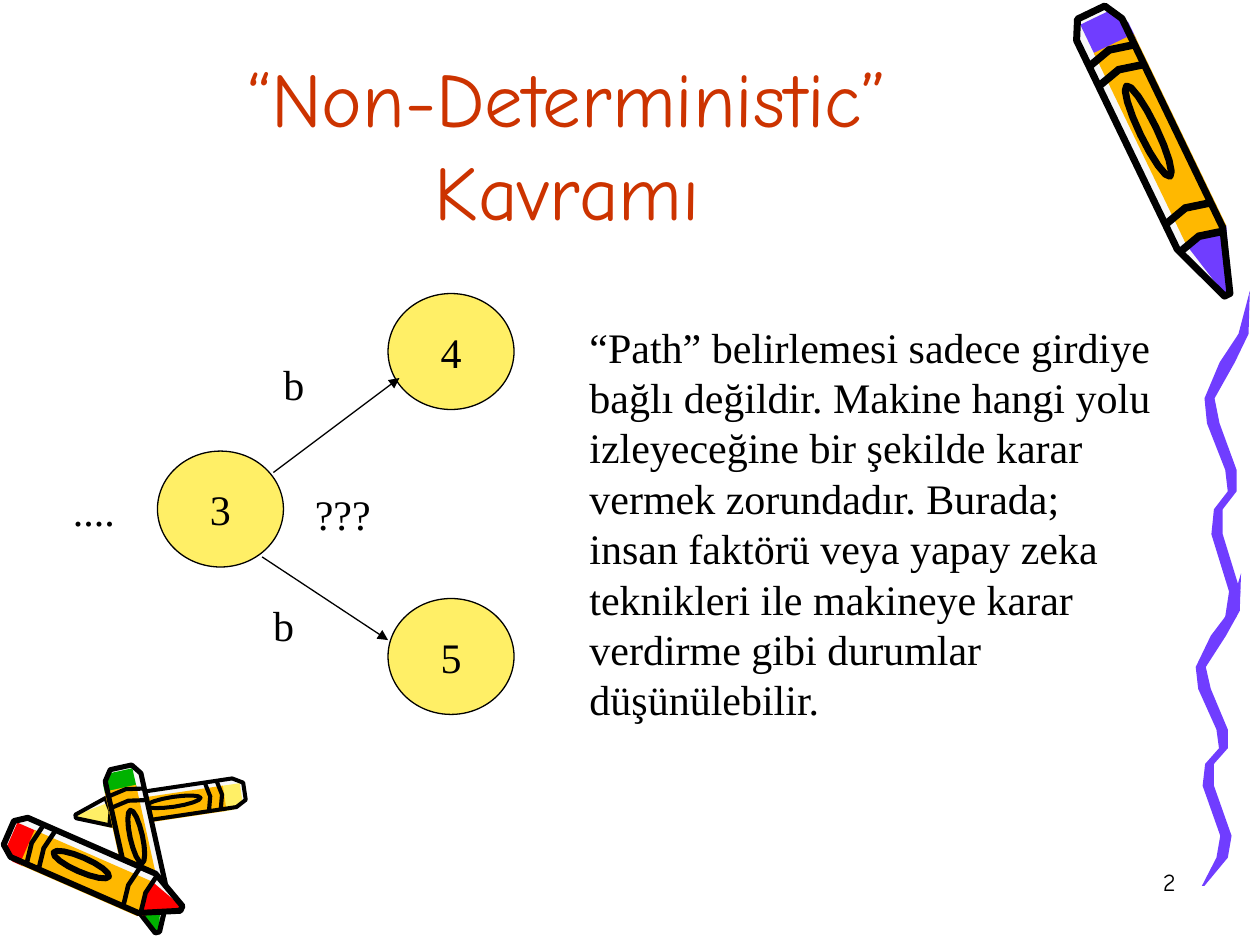
"""Build the "Non-Deterministic" concept slide with its state diagram and crayons."""
from math import cos, hypot, pi, sin

from lxml import etree
from pptx import Presentation
from pptx.dml.color import RGBColor
from pptx.enum.shapes import MSO_CONNECTOR, MSO_SHAPE
from pptx.enum.text import MSO_ANCHOR, MSO_AUTO_SIZE, PP_ALIGN
from pptx.oxml.ns import qn
from pptx.util import Inches, Pt

LINE, OVAL = MSO_CONNECTOR.STRAIGHT, MSO_SHAPE.OVAL
LEFT, CENTER, RIGHT = PP_ALIGN.LEFT, PP_ALIGN.CENTER, PP_ALIGN.RIGHT
TOP, MIDDLE, BOTTOM = MSO_ANCHOR.TOP, MSO_ANCHOR.MIDDLE, MSO_ANCHOR.BOTTOM
FIT, FIXED = MSO_AUTO_SIZE.SHAPE_TO_FIT_TEXT, MSO_AUTO_SIZE.NONE

THEME = {
    "black": "000000", "title": "CC3300", "purple": "703DFF", "orange": "FFB800",
    "yellow": "FFEF66", "red": "FF0000", "green": "00B200", "paper": "F8F8F8",
    "display": "Comic Neue", "body": "Times New Roman",
    "title_size": 44, "body_size": 24, "number_size": 14,
    "thin": 0.75, "ink": 4,
}

TITLE = ["“Non-Deterministic” Kavramı"]
BODY = [
    "“Path” belirlemesi sadece girdiye",
    "bağlı değildir. Makine hangi yolu",
    "izleyeceğine bir şekilde karar",
    "vermek zorundadır. Burada;",
    "insan faktörü veya yapay zeka",
    "teknikleri ile makineye karar",
    "verdirme gibi durumlar",
    "düşünülebilir.",
]
STATE_SIZE = (1, 0.92)
STATES = [("3", 1.25, 3.58), ("4", 3.08, 2.33), ("5", 3.08, 4.75)]
ARROWS = [((2.17, 3.75), (3.17, 3)), ((2.08, 4.42), (3.08, 5.08))]
LABELS = [("b", 2.15, 2.8, 0.36), ("b", 2.07, 4.71, 0.36), ("....", 0.48, 3.8, 0.53)]

# Each crayon: colour, blunt end, tip, width. A negative width mirrors it.
CRAYONS = [
    ("purple", (8.66, 0.1), (9.74, 2.34), -0.4),
    ("yellow", (1.94, 6.28), (0.6, 6.48), -0.23),
    ("green", (0.96, 6.09), (1.25, 7.4), 0.29),
    ("red", (0.07, 6.61), (1.44, 7.21), 0.34),
]
# Crayon parts as (along, across): 0 to 1 down its length, -0.5 to 0.5 over its width.
HULL = [(0, -0.3), (0, 0.3), (0.06, 0.5), (0.8, 0.5), (1, 0.06),
        (1, -0.06), (0.8, -0.5), (0.06, -0.5)]
CAP = [(0.02, -0.3), (0.02, 0.4), (0.08, 0.58), (0.14, 0.58), (0.14, -0.3)]
BARREL = [(0.12, -0.3), (0.12, 0.58), (0.8, 0.58), (0.8, -0.3)]
POINT = [(0.8, -0.3), (0.8, 0.58), (0.99, 0.12), (0.99, -0.05)]
BANDS, BAND_BEND, BAND_DEPTH = (0.14, 0.21, 0.7, 0.8), 0.02, 0.025
EMBLEM_CENTRE, EMBLEM_RADII, EMBLEM_STEPS = 0.42, (0.16, 0.17), 16

# Ribbon bends: share of height, middle offset, width. Ribbons: left, top, height.
BENDS = [
    (0, 0.36, 0), (0.12, 0.31, 0.08), (0.2, 0.18, 0.12), (0.3, 0.04, 0.08),
    (0.37, 0.07, 0.1), (0.5, 0.21, 0.09), (0.56, 0.22, 0.07), (0.61, 0.11, 0.07),
    (0.68, 0.1, 0.09), (0.84, 0.24, 0.09), (0.91, 0.21, 0.09), (1, 0.06, 0.02),
]
RIBBONS = [(9.49, 4.55, 2.48), (9.56, 2.31, 2.84)]


def rgb(name):
    """Return a theme colour."""
    return RGBColor.from_string(THEME[name])


def add_outline(shapes, points, fill=None, width=None):
    """Draw a closed outline, filled or inked in black."""
    start, *rest = [tuple(map(Inches, point)) for point in points]
    builder = shapes.build_freeform(*start)
    builder.add_line_segments(rest, close=True)
    sp = builder.convert_to_shape()
    sp.shadow.inherit = False
    if fill:
        sp.fill.solid()
        sp.fill.fore_color.rgb = rgb(fill)
    else:
        sp.fill.background()
    if width:
        sp.line.color.rgb = rgb("black")
        sp.line.width = Pt(width)
    else:
        sp.line.fill.background()


def band(along):
    """Return a bent strip across the crayon."""
    front = [(along, -0.5), (along - BAND_BEND, 0), (along, 0.5)]
    return front + [(a + BAND_DEPTH, v) for a, v in reversed(front)]


def emblem():
    """Return the oval on the barrel."""
    length, breadth = EMBLEM_RADII
    turns = [2 * pi * i / EMBLEM_STEPS for i in range(EMBLEM_STEPS)]
    return [(EMBLEM_CENTRE + length * cos(t), breadth * sin(t)) for t in turns]


def add_crayon(shapes, colour, blunt, tip, width):
    """Lay the crayon parts along the line from blunt end to tip."""
    (x, y), dx, dy = blunt, tip[0] - blunt[0], tip[1] - blunt[1]
    across = width / hypot(dx, dy)
    ink = THEME["ink"] * abs(width) / 0.4

    def place(part):
        return [(x + dx * a - dy * across * v, y + dy * a + dx * across * v) for a, v in part]

    group = shapes.add_group_shape().shapes
    fills = [("paper", HULL), (colour, CAP), ("orange", BARREL), (colour, POINT)]
    for fill, part in fills + [("black", band(along)) for along in BANDS]:
        add_outline(group, place(part), fill=fill)
    for part in (emblem(), HULL):
        add_outline(group, place(part), width=ink)


def add_ribbon(shapes, left, top, height):
    """Draw one wavy stroke: down one side of its bends and up the other."""
    def side(sign):
        return [(left + mid + sign * width / 2, top + height * t) for t, mid, width in BENDS]

    add_outline(shapes, side(-1) + side(1)[::-1], fill="purple")


def add_arrow(shapes, ends):
    """Draw a transition between two states."""
    cx = shapes.add_connector(LINE, *[Inches(v) for point in ends for v in point])
    cx.line.color.rgb = rgb("black")
    cx.line.width = Pt(THEME["thin"])
    props = cx._element.spPr
    etree.SubElement(props.find(qn("a:ln")), qn("a:tailEnd"), type="triangle")
    etree.SubElement(props, qn("a:effectLst"))


def write(sp, lines, size="body_size", font="body", colour="black", align=LEFT,
          anchor=TOP, wrap=False, fit=FIXED, before=0):
    """Write one paragraph per line into a shape."""
    tf = sp.text_frame
    tf.word_wrap, tf.auto_size, tf.vertical_anchor = wrap, fit, anchor
    for i, line in enumerate(lines):
        p = tf.add_paragraph() if i else tf.paragraphs[0]
        p.alignment, p.space_before = align, Pt(before)
        r = p.add_run()
        r.text = line
        r.font.name, r.font.size = THEME[font], Pt(THEME[size])
        r.font.color.rgb = rgb(colour)


def add_text(shapes, box, lines, **style):
    """Add a text box at left, top, width, height."""
    write(shapes.add_textbox(*map(Inches, box)), lines, **style)


def add_state(shapes, name, left, top):
    """Add one state of the automaton."""
    sp = shapes.add_shape(OVAL, *map(Inches, (left, top, *STATE_SIZE)))
    sp.shadow.inherit = False
    sp.fill.solid()
    sp.fill.fore_color.rgb = rgb("yellow")
    sp.line.color.rgb = rgb("black")
    sp.line.width = Pt(THEME["thin"])
    write(sp, [name], align=CENTER, anchor=MIDDLE)


def main():
    """Assemble and save the slide."""
    prs = Presentation()
    prs.slide_width, prs.slide_height = Inches(10), Inches(7.5)
    s = prs.slides.add_slide(prs.slide_layouts[6]).shapes
    for crayon in CRAYONS:
        add_crayon(s, *crayon)
    for ribbon in RIBBONS:
        add_ribbon(s, *ribbon)
    add_text(s, (7.35, 6.83, 2.08, 0.5), ["2"], size="number_size", font="display",
             align=RIGHT, wrap=True)
    add_text(s, (0.75, 0.17, 7.51, 1.75), TITLE, size="title_size", font="display",
             colour="title", align=CENTER, anchor=BOTTOM, wrap=True)
    for state in STATES:
        add_state(s, *state)
    for ends in ARROWS:
        add_arrow(s, ends)
    for text, left, top, width in LABELS:
        add_text(s, (left, top, width, 0.5), [text], fit=FIT)
    add_text(s, (4.58, 2.5, 4.67, 3.3), BODY, fit=FIT)
    add_text(s, (2.4, 3.83, 0.79, 0.5), ["???"], wrap=True, fit=FIT, before=15)
    prs.save("out.pptx")


if __name__ == "__main__":
    main()
